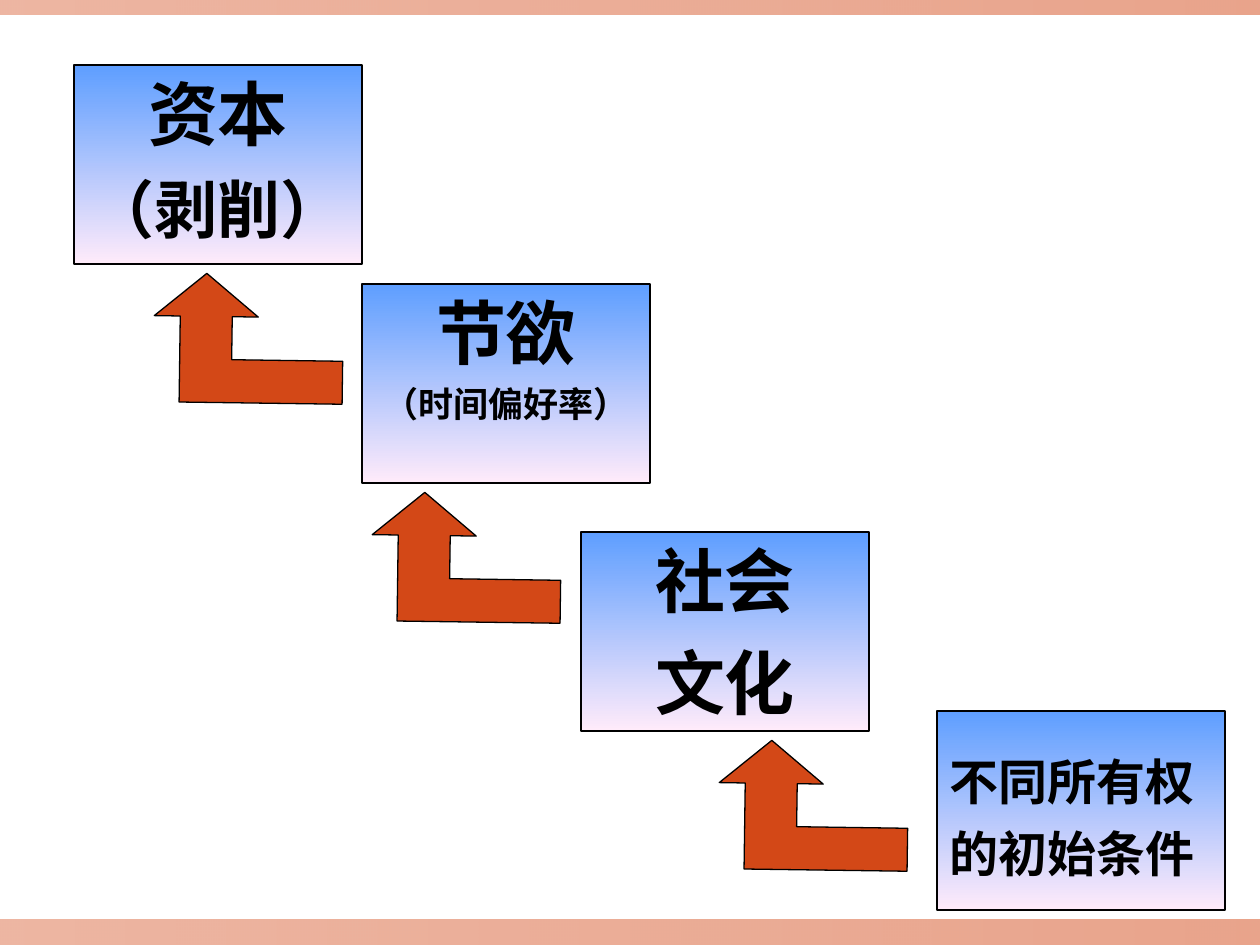
from dataclasses import dataclass

from lxml import etree
from pptx import Presentation
from pptx.dml.color import RGBColor
from pptx.enum.shapes import MSO_SHAPE
from pptx.enum.text import MSO_ANCHOR, PP_ALIGN
from pptx.oxml.ns import qn
from pptx.util import Pt

RECT = MSO_SHAPE.RECTANGLE
TOP = MSO_ANCHOR.TOP
LEFT, MID = PP_ALIGN.LEFT, PP_ALIGN.CENTER
SCALE = 914400 / 126  # EMU in one px


@dataclass(frozen=True)
class Theme:
    font: str = "Arial"
    ink: str = "000000"
    accent: str = "D34817"
    sky: str = "5E9EFF"
    blush: str = "FFEBFA"
    big: int = 40
    large: int = 36
    medium: int = 28
    small: int = 20
    edge: float = 0.75


THEME = Theme()


def px(n):
    return round(n * SCALE)


def rgb(code):
    return RGBColor.from_string(code)


def style(item, **values):
    for name, value in values.items():
        setattr(item, name, value)


def blend(shape, colors, angle, alphas=()):
    """Fill with a two-stop gradient, with opacity in percent if given."""
    fill = shape.fill
    fill.gradient()
    fill.gradient_angle = angle
    for stop, color in zip(fill.gradient_stops, colors):
        stop.color.rgb = rgb(color)
    for node, alpha in zip(shape._element.spPr.iter(qn("a:srgbClr")), alphas):
        etree.SubElement(node, qn("a:alpha"), val=str(alpha * 1000))


def outline(shape):
    shape.shadow.inherit = False
    shape.line.color.rgb = rgb(THEME.ink)
    shape.line.width = Pt(THEME.edge)


def band(slide, box):
    bar = slide.shapes.add_shape(RECT, *map(px, box))
    bar.shadow.inherit = False
    bar.line.fill.background()
    blend(bar, (THEME.accent, THEME.accent), 0, (40, 50))


def card(slide, box, lines, align=MID, pad=6):
    """Draw a box with lines of (text, size, space before)."""
    shape = slide.shapes.add_shape(RECT, *map(px, box))
    outline(shape)
    blend(shape, (THEME.sky, THEME.blush), 270)
    frame = shape.text_frame
    style(frame, word_wrap=True, vertical_anchor=TOP, margin_top=px(pad))
    for i, (text, size, gap) in enumerate(lines):
        para = frame.add_paragraph() if i else frame.paragraphs[0]
        style(para, text=text, alignment=align)
        if i:
            para.space_before = Pt(gap)
        font = para.runs[0].font
        style(font, name=THEME.font, size=Pt(size), bold=True)
        font.color.rgb = rgb(THEME.ink)


def arrow(slide, box):
    """Draw an arrow that runs left along the base, then up."""
    left, top, wide, high = box
    unit = high // 3
    half = unit * 5 // 8
    head, base = unit, unit * 2
    points = [(2 * half, 0), (4 * half, head), (3 * half, head),
              (3 * half, base), (wide, base), (wide, high),
              (half, high), (half, head), (0, head)]
    spots = [(left + x, top + y) for x, y in points]
    path = slide.shapes.build_freeform(*spots[0], scale=SCALE)
    path.add_line_segments(spots[1:], close=True)
    shape = path.convert_to_shape()
    outline(shape)
    shape.fill.solid()
    shape.fill.fore_color.rgb = rgb(THEME.accent)
    shape.rotation = 0.8


def steps(slide):
    """Place the staircase of causes, with an arrow under each upper step."""
    t = THEME
    wide, high = 288, 199
    stairs = [
        (74, 65, 154, [("资本", t.big, 0), ("（剥削）", t.large, 9)]),
        (362, 284, 372, [("节欲", t.big, 0), ("（时间偏好率）", t.small, 5)]),
        (581, 532, 719, [("社会", t.big, 0), ("文化", t.big, 10)]),
    ]
    for left, top, turn, lines in stairs:
        card(slide, (left, top, wide, high), lines)
        arrow(slide, (turn, top + high + 10, 189, 129))
    root = [("不同所有权", t.medium, 0), ("的初始条件", t.medium, 7)]
    card(slide, (937, 711, wide, high), root, LEFT, 41)


def main():
    deck = Presentation()
    style(deck, slide_width=px(1260), slide_height=px(945))
    slide = deck.slides.add_slide(deck.slide_layouts[6])
    band(slide, (0, 920, 1260, 25))
    band(slide, (0, 0, 1260, 15))
    steps(slide)
    deck.save("out.pptx")


if __name__ == "__main__":
    main()
